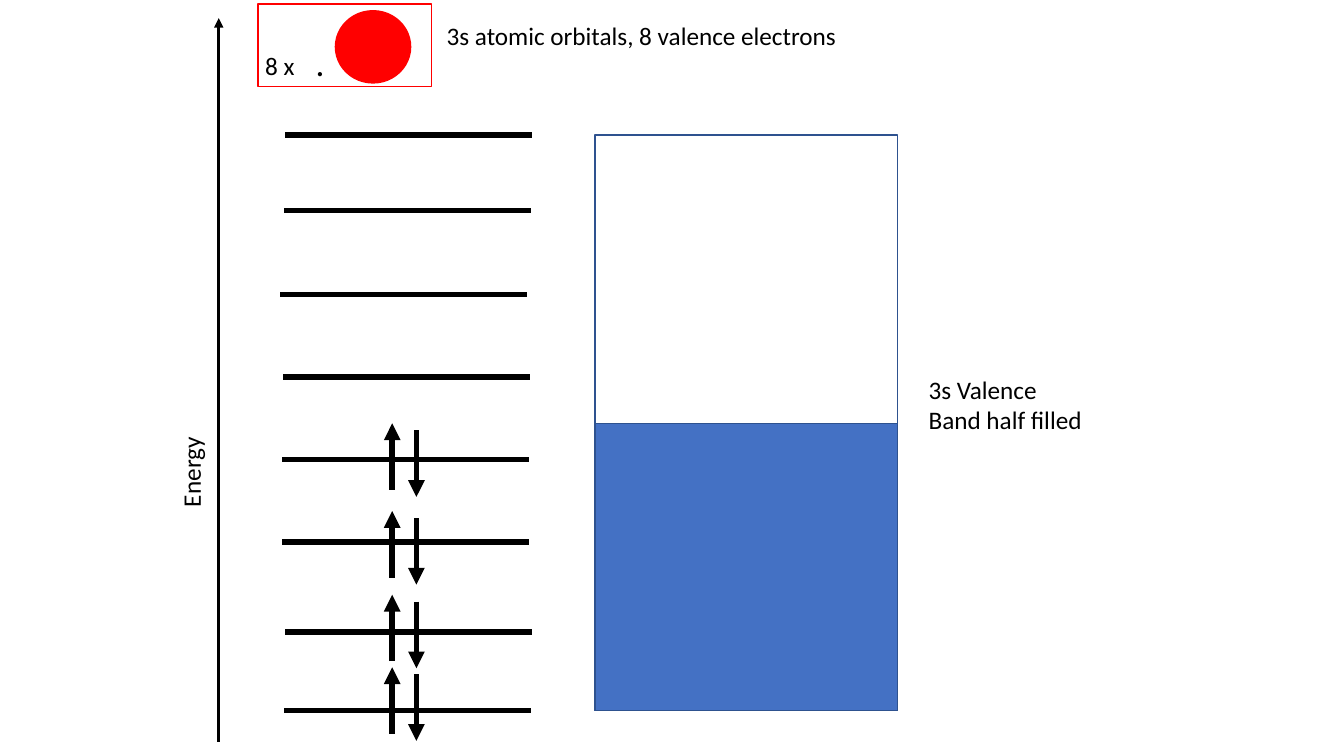
import pptx
import pptx.util
import pptx.dml.color
import pptx.enum.shapes
import pptx.enum.text
import pptx.oxml.ns
import lxml.etree

Inches = pptx.util.Inches
Pt = pptx.util.Pt
RGBColor = pptx.dml.color.RGBColor
Shape = pptx.enum.shapes.MSO_SHAPE
qn = pptx.oxml.ns.qn

BLACK = RGBColor(0x00, 0x00, 0x00)
RED = RGBColor(0xFF, 0x00, 0x00)
BAND_BLUE = RGBColor(0x44, 0x71, 0xC4)
BAND_EDGE = RGBColor(0x2E, 0x52, 0x8F)

TITLE_RUNS = ["8 x\t", "."]
TITLE_BOX = (2.56, 0.04, 1.72, 0.82)
ORBITAL_BOX = (3.32, 0.1, 0.76, 0.73)
LABELS = [
    (["3s atomic orbitals, 8 valence electrons"], (4.42, 0.17, 3.9, 0.33)),
    (["3s Valence", "Band half filled"], (9.2, 3.68, 1.55, 0.63)),
]
AXIS_LABEL = (["Energy"], (1.79, 4.31, 0.28, 0.72))
AXIS = (2.17, 7.36, 0.18)

LEVELS = [
    (2.83, 1.34, None),
    (2.82, 2.09, None),
    (2.78, 2.92, None),
    (2.81, 3.74, None),
    (2.8, 4.56, 4.2),
    (2.8, 5.38, 5.07),
    (2.83, 6.27, 5.9),
    (2.82, 7.05, 6.62),
]
LEVEL_WIDTH = 2.45
SPIN_UP_X, SPIN_DOWN_X = 3.89, 4.13
SPIN_LENGTH, SPIN_DROP = 0.66, 0.07

BAND_LEFT, BAND_WIDTH = 5.9, 3
BAND_TOP, FILLED_TOP, BAND_BOTTOM = 1.34, 4.2, 7.05

FRAME_FORMAT = {
    "word_wrap": True,
    "auto_size": pptx.enum.text.MSO_AUTO_SIZE.NONE,
    "vertical_anchor": pptx.enum.text.MSO_ANCHOR.TOP,
    "margin_right": 0,
    "margin_bottom": 0,
}
FONT_FORMAT = {"name": "Calibri", "size": Pt(18)}


def apply(target, values):
    for name, value in values.items():
        setattr(target, name, value)


def style_font(font, **changes):
    apply(font, {**FONT_FORMAT, **changes})
    font.color.rgb = BLACK


def place(shape, box):
    apply(shape, dict(zip(("left", "top", "width", "height"), map(Inches, box))))


def add_label(slide, lines, box, left=0.01, top=0.03):
    label = slide.shapes.add_textbox(*map(Inches, box))
    frame = label.text_frame
    apply(frame, {**FRAME_FORMAT, "margin_left": Inches(left), "margin_top": Inches(top)})
    frame.text = "\n".join(lines)
    for paragraph in frame.paragraphs:
        style_font(paragraph.runs[0].font)
    return label


def add_line(slide, start, end, weight, arrow=False):
    line = slide.shapes.add_connector(
        pptx.enum.shapes.MSO_CONNECTOR.STRAIGHT, *map(Inches, start + end))
    line.line.color.rgb = BLACK
    line.line.width = Pt(weight)
    properties = line.element.spPr
    if arrow:
        lxml.etree.SubElement(properties.find(qn("a:ln")), qn("a:tailEnd"), type="triangle")
    lxml.etree.SubElement(properties, qn("a:effectLst"))


def add_area(slide, kind, box, fill=None, edge=None):
    area = slide.shapes.add_shape(kind, *map(Inches, box))
    area.shadow.inherit = False
    if fill is None:
        area.fill.background()
    else:
        area.fill.solid()
        area.fill.fore_color.rgb = fill
    if edge is None:
        area.line.fill.background()
    else:
        area.line.color.rgb = edge
        area.line.width = Pt(1)
    return area


def format_title(title):
    place(title, TITLE_BOX)
    title.line.color.rgb = RED
    title.line.width = Pt(1)
    frame = title.text_frame
    apply(frame, {**FRAME_FORMAT, "margin_left": 0, "margin_top": Inches(0.1)})
    paragraph = frame.paragraphs[0]
    paragraph.alignment = pptx.enum.text.PP_ALIGN.LEFT
    properties = paragraph._p.get_or_add_pPr()
    apply_indent = {"marL": Inches(0.07), "indent": 0}
    for name, value in apply_indent.items():
        properties.set(name, str(value))
    tabs = lxml.etree.SubElement(properties, qn("a:tabLst"))
    lxml.etree.SubElement(tabs, qn("a:tab"), pos=str(Inches(1.09)), algn="l")
    for text, size in zip(TITLE_RUNS, (18, 43.5)):
        run = paragraph.add_run()
        run.text = text
        style_font(run.font, size=Pt(size))
    run.font._element.set("baseline", "-2000")


def main():
    presentation = pptx.Presentation()
    presentation.slide_width = Inches(13.33)
    presentation.slide_height = Inches(7.5)
    slide = presentation.slides.add_slide(presentation.slide_layouts[5])

    orbital = add_area(slide, Shape.OVAL, ORBITAL_BOX, fill=RED)
    title = slide.shapes.title
    format_title(title)
    orbital.element.addnext(title.element)

    for lines, box in LABELS:
        add_label(slide, lines, box)

    axis_x, axis_bottom, axis_top = AXIS
    add_line(slide, (axis_x, axis_bottom), (axis_x, axis_top), 2.25, arrow=True)
    energy = add_label(slide, *AXIS_LABEL, left=0, top=0)
    energy.text_frame._txBody.bodyPr.set("vert", "vert270")
    paragraph = energy.text_frame.paragraphs[0]
    apply(paragraph, {"line_spacing": Pt(18.1)})

    for left, y, spin_top in LEVELS:
        add_line(slide, (left, y), (left + LEVEL_WIDTH, y), 4)
        if spin_top is not None:
            up_end = spin_top + SPIN_LENGTH
            down_start = spin_top + SPIN_DROP
            add_line(slide, (SPIN_UP_X, up_end), (SPIN_UP_X, spin_top), 4, arrow=True)
            add_line(slide, (SPIN_DOWN_X, down_start),
                     (SPIN_DOWN_X, down_start + SPIN_LENGTH), 4, arrow=True)

    for top, fill in ((BAND_TOP, None), (FILLED_TOP, BAND_BLUE)):
        box = (BAND_LEFT, top, BAND_WIDTH, BAND_BOTTOM - top)
        add_area(slide, Shape.RECTANGLE, box, fill=fill, edge=BAND_EDGE)

    presentation.save("out.pptx")


if __name__ == "__main__":
    main()
